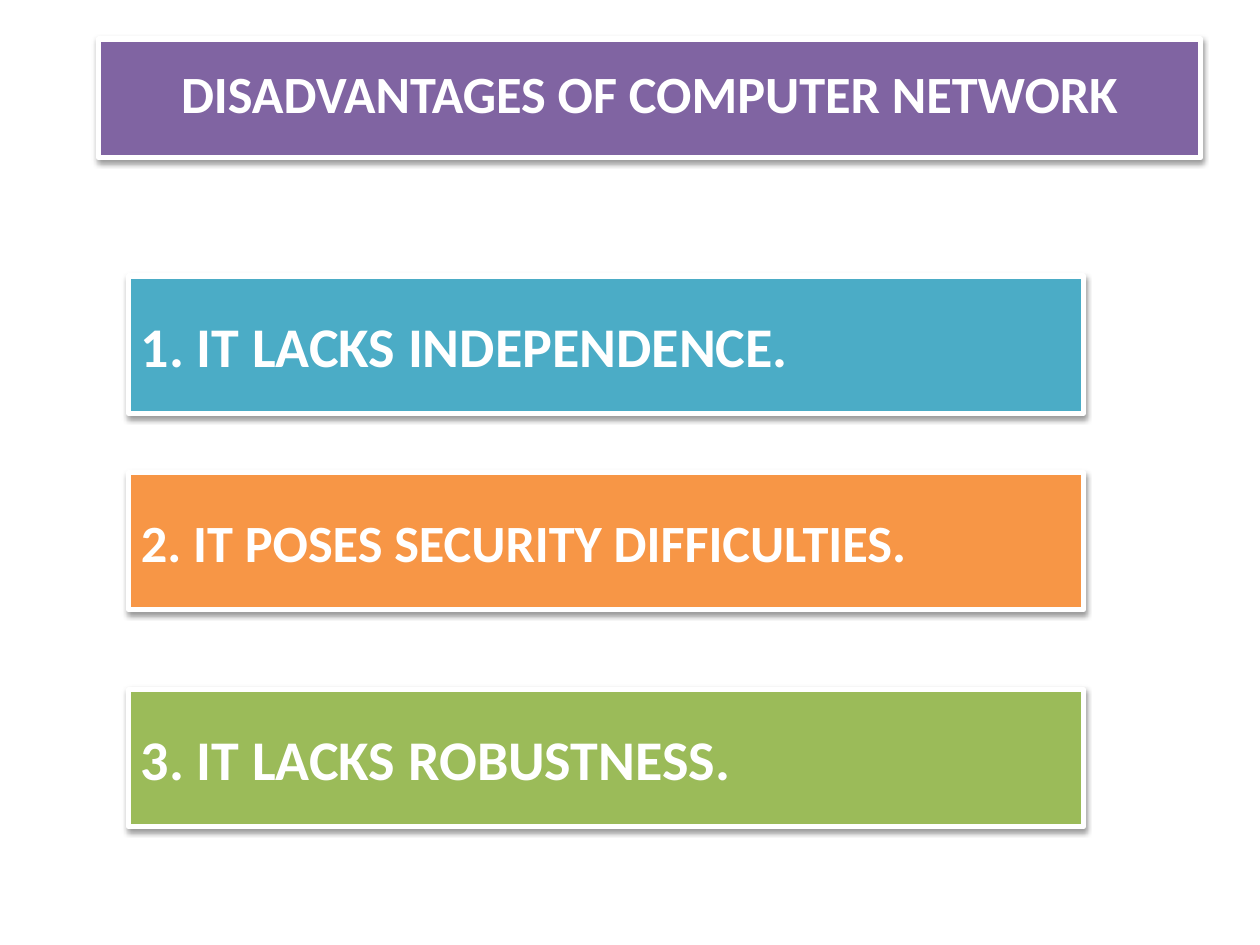
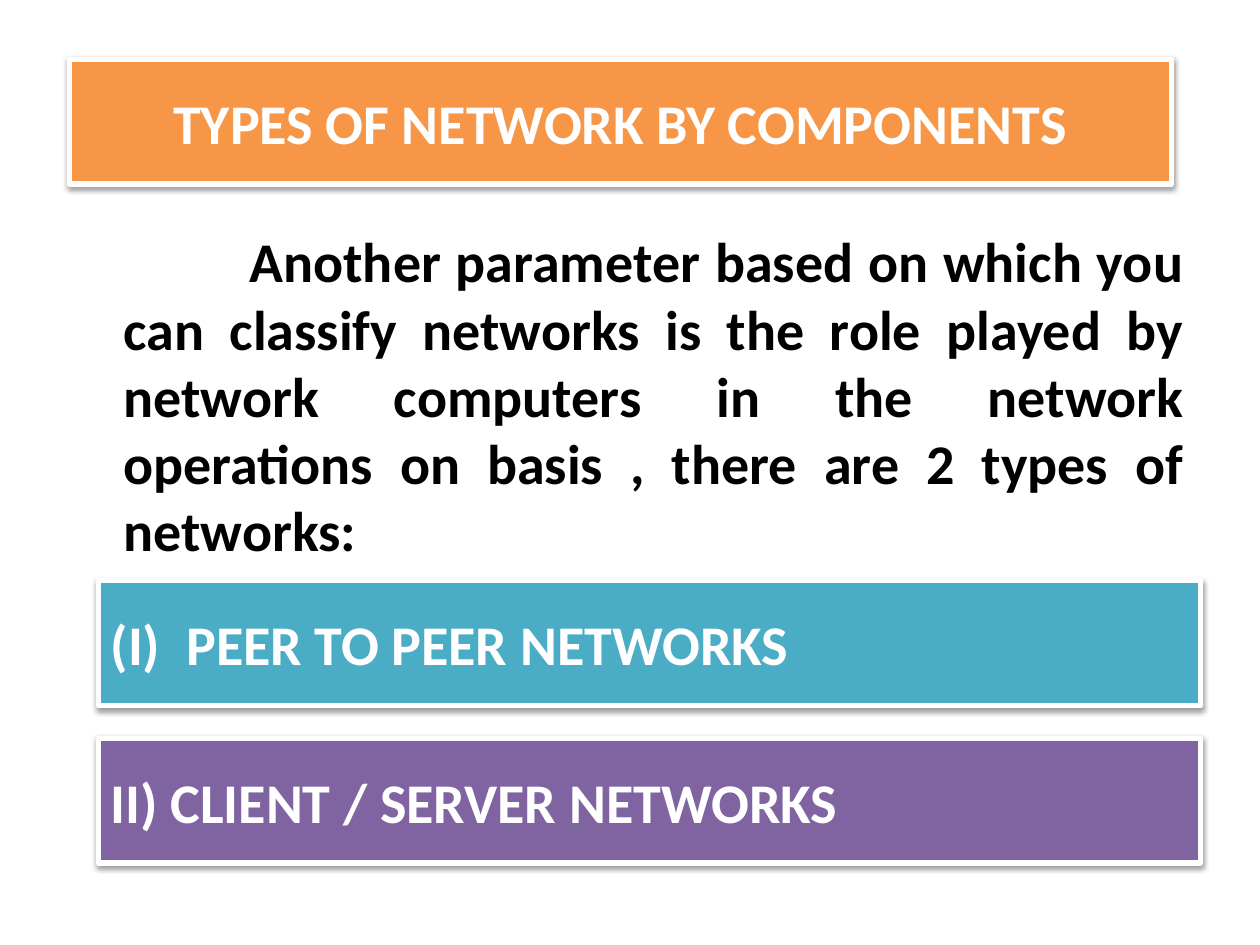
import dataclasses

import lxml.etree
import pptx
import pptx.dml.color
import pptx.enum.shapes
import pptx.enum.text
import pptx.oxml.ns
import pptx.util

Inches = pptx.util.Inches
Pt = pptx.util.Pt
Align = pptx.enum.text.PP_ALIGN

SHADOW_XML = (
    '<a:effectLst xmlns:a="http://schemas.openxmlformats.org/drawingml/2006/main">'
    '<a:outerShdw blurRad="40000" dist="20000" dir="5400000" rotWithShape="0">'
    '<a:srgbClr val="000000"><a:alpha val="38000"/></a:srgbClr>'
    '</a:outerShdw></a:effectLst>'
)


@dataclasses.dataclass(frozen=True)
class Theme:
    font: str = "Calibri"
    white: str = "FFFFFF"
    black: str = "000000"
    teal: str = "4BACC6"
    orange: str = "F79646"
    green: str = "9BBB59"
    purple: str = "8064A2"
    large: float = 32
    compact: float = 29.9
    border: float = 3
    paragraph_gap: float = 6.4


def rgb(value):
    return pptx.dml.color.RGBColor.from_string(value)


class Deck:
    TITLE_AND_CONTENT = 1
    TITLE_ONLY = 5

    def __init__(self, theme):
        self.theme = theme
        self.presentation = pptx.Presentation()
        self.presentation.slide_width = Inches(10)
        self.presentation.slide_height = Inches(7.5)
        self.slide = None

    def start_slide(self, layout):
        layouts = self.presentation.slide_layouts
        self.slide = self.presentation.slides.add_slide(layouts[layout])

    def place(self, part, left, top, width, height):
        part.left, part.top = Inches(left), Inches(top)
        part.width, part.height = Inches(width), Inches(height)

    def add_text(self, part, pieces, size, color, align):
        frame = part.text_frame
        frame.word_wrap = True
        frame.auto_size = pptx.enum.text.MSO_AUTO_SIZE.NONE
        paragraph = frame.paragraphs[0]
        paragraph.alignment = align
        for piece in pieces:
            run = paragraph.add_run()
            run.text = piece
            run.font.name = self.theme.font
            run.font.size = Pt(size)
            run.font.bold = True
            run.font.color.rgb = rgb(color)
        return paragraph

    def indent(self, paragraph, margin, first_line):
        properties = paragraph._p.get_or_add_pPr()
        properties.set("marL", str(Inches(margin)))
        properties.set("indent", str(Inches(first_line)))
        return properties

    def decorate(self, part, fill):
        part.fill.solid()
        part.fill.fore_color.rgb = rgb(fill)
        part.line.color.rgb = rgb(self.theme.white)
        part.line.width = Pt(self.theme.border)
        properties = part._element.spPr
        for effects in properties.findall(pptx.oxml.ns.qn("a:effectLst")):
            properties.remove(effects)
        properties.append(lxml.etree.fromstring(SHADOW_XML))
        part.text_frame.vertical_anchor = pptx.enum.text.MSO_ANCHOR.MIDDLE

    def title(self, text, box, fill, size, line_spacing=1.0):
        heading = self.slide.shapes.title
        self.place(heading, *box)
        self.decorate(heading, fill)
        paragraph = self.add_text(
            heading, [text], size, self.theme.white, Align.CENTER)
        paragraph.line_spacing = line_spacing

    def band(self, pieces, box, fill, size, hanging=0):
        band = self.slide.shapes.add_shape(
            pptx.enum.shapes.MSO_SHAPE.RECTANGLE, *map(Inches, box))
        band.shadow.inherit = False
        self.decorate(band, fill)
        paragraph = self.add_text(band, pieces, size, self.theme.white, Align.LEFT)
        if hanging:
            self.indent(paragraph, hanging, -hanging)

    def body(self, text, box):
        body = self.slide.placeholders[1]
        self.place(body, *box)
        paragraph = self.add_text(
            body, [text], self.theme.large, self.theme.black, Align.JUSTIFY)
        paragraph.space_before = Pt(self.theme.paragraph_gap)
        properties = self.indent(paragraph, 0.38, 1)
        lxml.etree.SubElement(properties, pptx.oxml.ns.qn("a:buNone"))


def add_disadvantages(deck):
    theme = deck.theme
    deck.start_slide(Deck.TITLE_ONLY)
    deck.title("DISADVANTAGES OF COMPUTER NETWORK", (0.78, 0.31, 8.75, 0.94),
               theme.purple, theme.compact, line_spacing=0.8)
    disadvantages = [
        ("1. IT LACKS INDEPENDENCE.", 2.19, theme.teal, theme.large),
        ("2. IT POSES SECURITY DIFFICULTIES.", 3.75, theme.orange, theme.compact),
        ("3. IT LACKS ROBUSTNESS.", 5.47, theme.green, theme.large),
    ]
    for disadvantage, top, fill, size in disadvantages:
        deck.band([disadvantage], (1.02, top, 7.58, 1.09), fill, size)


def add_network_types(deck):
    theme = deck.theme
    deck.start_slide(Deck.TITLE_AND_CONTENT)
    deck.title("TYPES OF NETWORK BY COMPONENTS", (0.55, 0.47, 8.75, 0.99),
               theme.orange, theme.large)
    deck.body("Another parameter based on which you can classify networks is "
              "the role played by network computers in the network operations "
              "on basis , there are 2 types of networks:", (0.5, 1.75, 9, 3.01))
    network_types = [
        (["(I)", "\t", "PEER TO PEER NETWORKS"], theme.teal, 0.6),
        (["II) CLIENT / SERVER NETWORKS"], theme.purple, 0),
    ]
    for row, (pieces, fill, hanging) in enumerate(network_types):
        deck.band(pieces, (0.78, 4.61 + 1.25 * row, 8.75, 0.99),
                  fill, theme.large, hanging)


def main():
    deck = Deck(Theme())
    add_disadvantages(deck)
    add_network_types(deck)
    deck.presentation.save("out.pptx")


if __name__ == "__main__":
    main()
